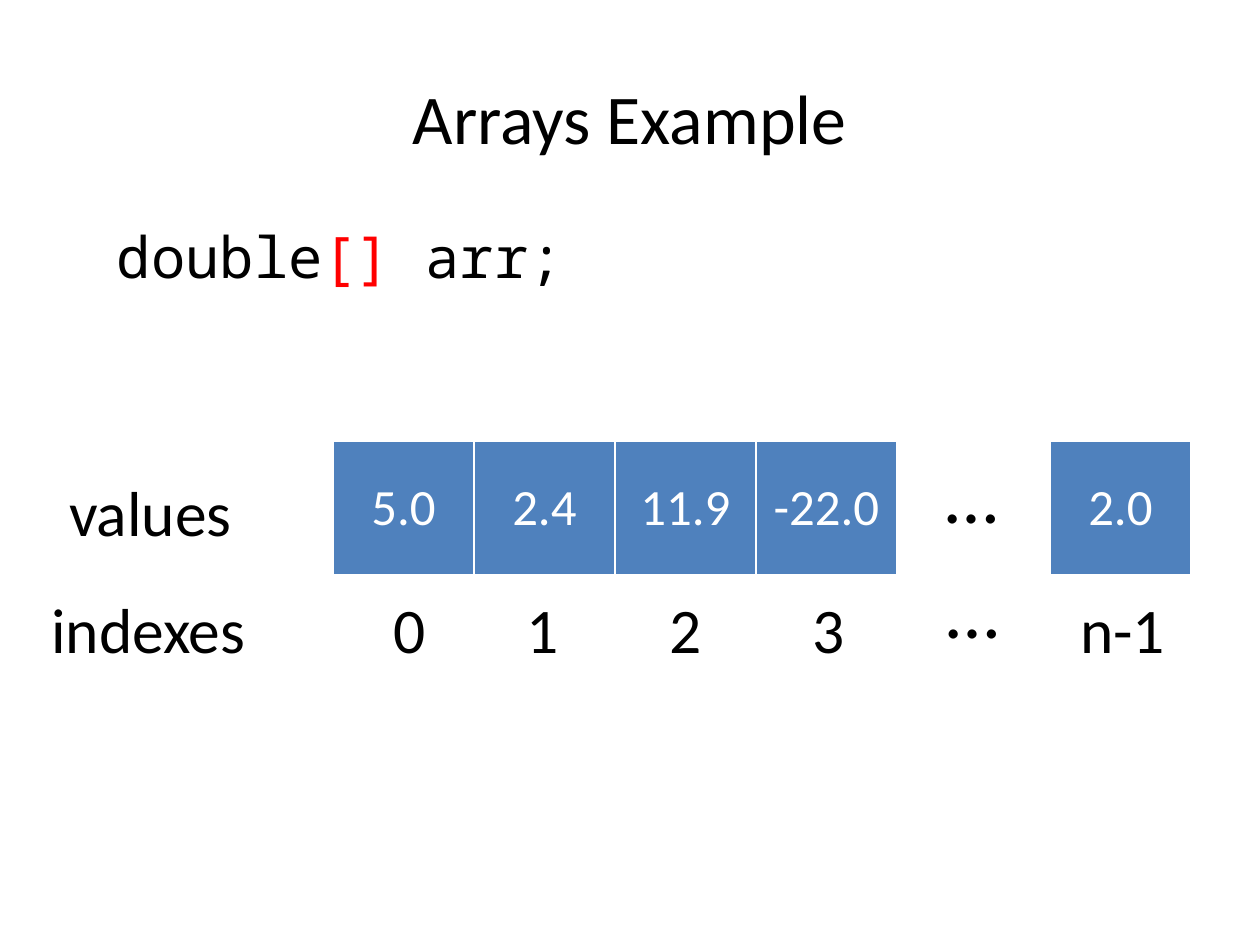
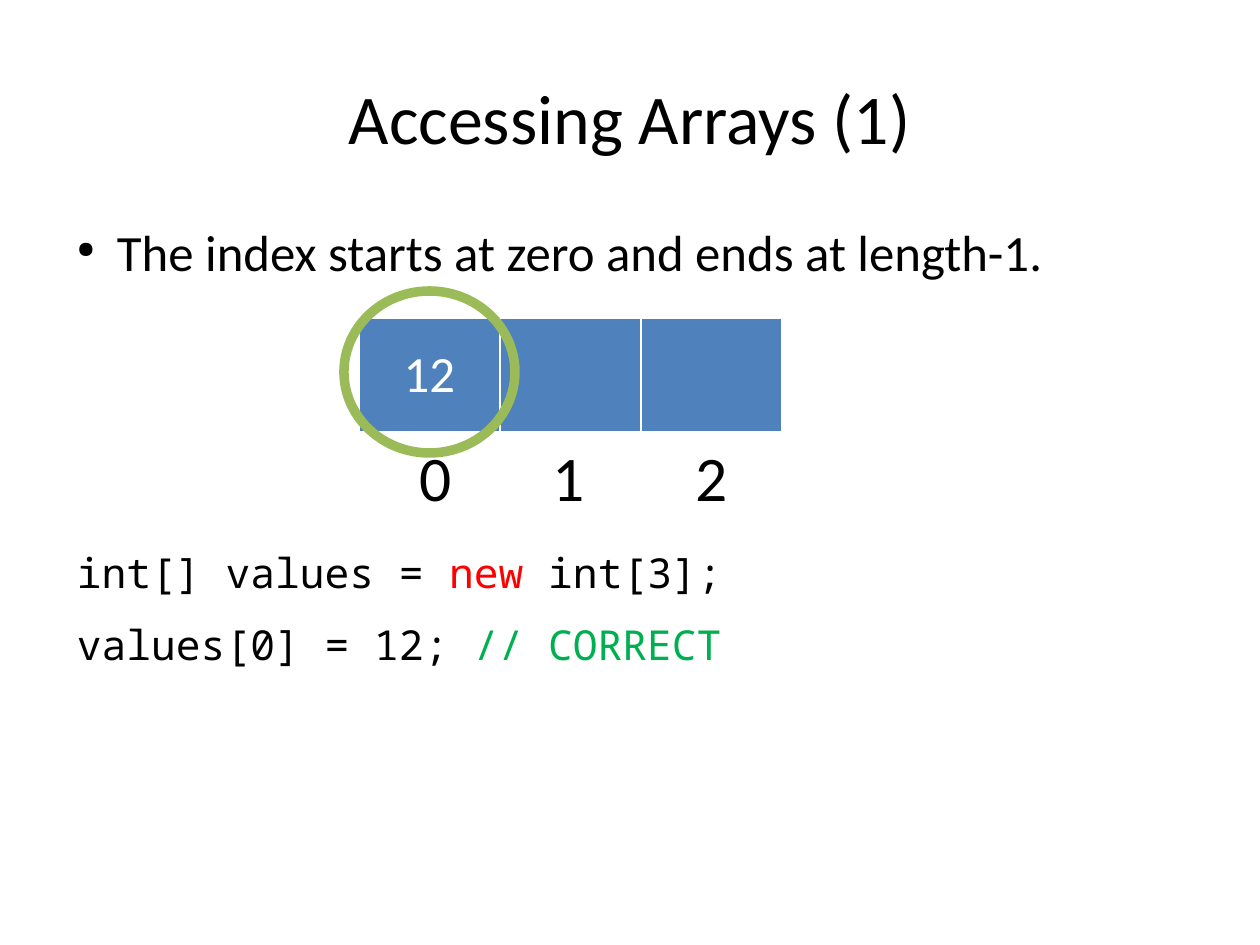
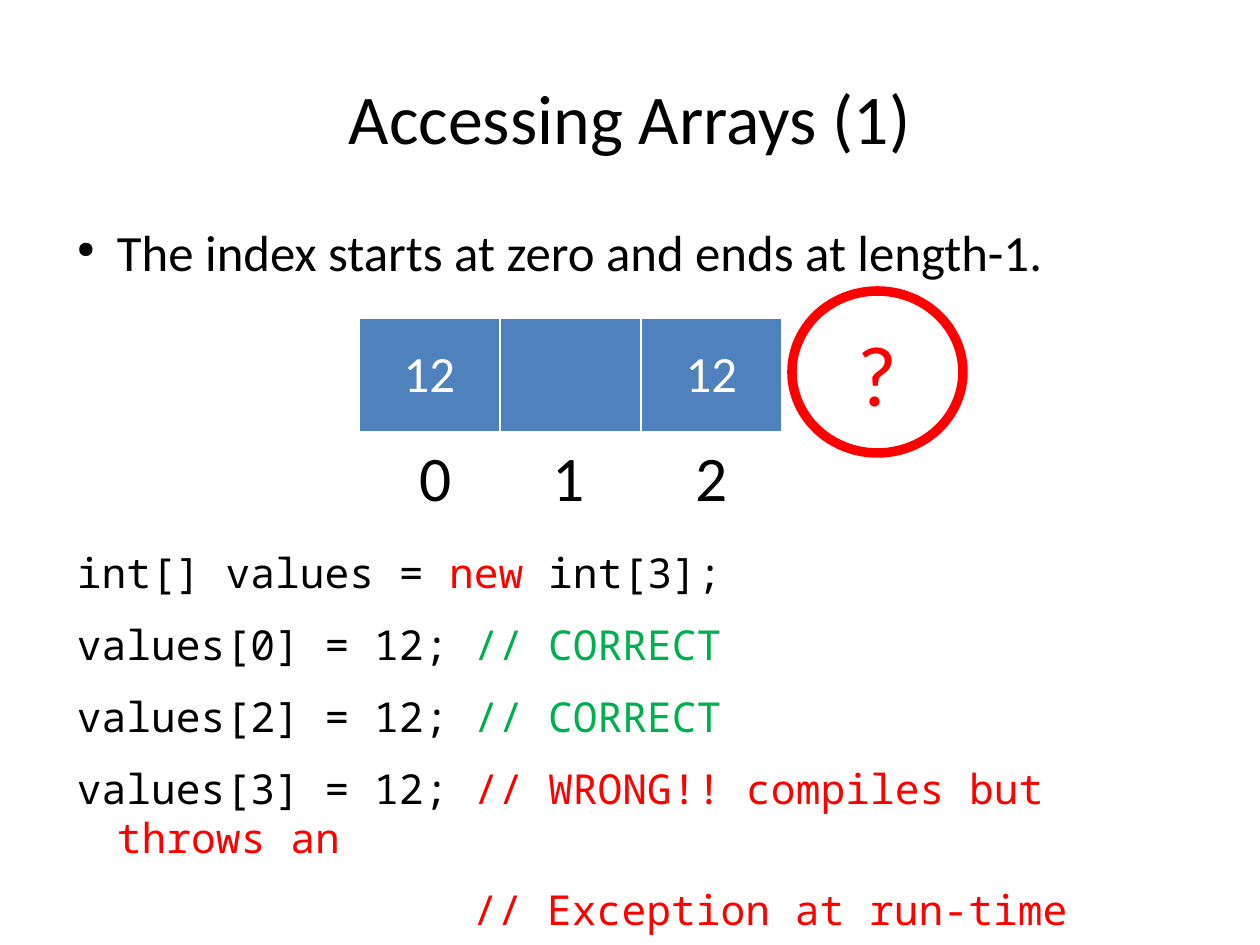
from lxml.etree import SubElement
from pptx import Presentation
from pptx.dml.color import RGBColor
from pptx.enum.shapes import MSO_SHAPE
from pptx.enum.text import MSO_ANCHOR, MSO_AUTO_SIZE, PP_ALIGN
from pptx.oxml.ns import qn
from pptx.util import Pt

PIXEL = 8000
COLORS = {"black": "000000", "white": "FFFFFF", "blue": "4F81BD",
          "red": "FF0000", "green": "00B050", "olive": "9BBB59"}
SANS, MONO = "Calibri", "Noto Sans Mono"
CELL_WIDTH = 141
DIGIT_OFFSETS = (49, 182, 325, 468)
BODY_LEFT, BODY_TOP, BODY_WIDTH = 63, 221, 1134
HANGING, FIRST_LINE = 54, -40


def write(para, spans, size, face=SANS, align=None):
    """Fill a paragraph with (text, colour name) spans of one font."""
    para.font.size, para.font.name, para.font.bold = Pt(size), face, False
    para.alignment = align
    for text, color in spans:
        span = para.add_run()
        span.text = text
        span.font.color.rgb = RGBColor.from_string(COLORS[color])


def add_frame(page, left, top, width, height, inset=True):
    """Add a text box; without inset it wraps and has no margins."""
    box = page.shapes.add_textbox(*(n * PIXEL for n in (left, top, width, height)))
    frame = box.text_frame
    frame.word_wrap = not inset
    if inset:
        frame.auto_size = MSO_AUTO_SIZE.SHAPE_TO_FIT_TEXT
    else:
        frame.margin_left = frame.margin_top = frame.margin_right = frame.margin_bottom = 0
    return frame


deck = Presentation()
deck.slide_width, deck.slide_height = 1260 * PIXEL, 945 * PIXEL

# Titles
pages = []
for heading in ("Arrays Example", "Accessing Arrays (1)", "Accessing Arrays (1)"):
    page = deck.slides.add_slide(deck.slide_layouts[5])
    title = page.shapes.title
    title.left, title.top = BODY_LEFT * PIXEL, 38 * PIXEL
    title.width, title.height = BODY_WIDTH * PIXEL, 158 * PIXEL
    frame = title.text_frame
    frame.margin_left = frame.margin_top = frame.margin_right = frame.margin_bottom = 0
    frame.vertical_anchor = MSO_ANCHOR.MIDDLE
    write(frame.paragraphs[0], [(heading, "black")], 44, align=PP_ALIGN.CENTER)
    pages.append(page)
example, first_access, last_access = pages

# Declaration
frame = add_frame(example, BODY_LEFT + HANGING, BODY_TOP, BODY_WIDTH - HANGING, 70, inset=False)
write(frame.paragraphs[0], [("double", "black"), ("[] ", "red"), ("arr;", "black")], 36, MONO)

# Bullet and code
creation = [("int[] values = ", "black"), ("new ", "red"), ("int[3];", "black")]
set_first = [("values[0] = 12; ", "black"), ("// CORRECT", "green")]
set_last = [("values[2] = 12; ", "black"), ("// CORRECT", "green")]
set_beyond = [("values[3] = 12; ", "black"), ("// WRONG!! compiles but throws an", "red")]
remark = [("// Exception at run-time", "red")]
listings = [(first_access, [creation, set_first]),
            (last_access, [creation, set_first, set_last, set_beyond, remark])]
for page, lines in listings:
    bullet = add_frame(page, BODY_LEFT, BODY_TOP, BODY_WIDTH, 62, inset=False).paragraphs[0]
    write(bullet, [("The index starts at zero and ends at length-1.", "black")], 32)
    properties = bullet._p.get_or_add_pPr()
    properties.set("marL", str(HANGING * PIXEL))
    properties.set("indent", str(FIRST_LINE * PIXEL))
    size_mark = SubElement(properties, qn("a:buSzPct"), val="45000")
    mark = SubElement(properties, qn("a:buChar"), char="●")
    properties.find(qn("a:defRPr")).addprevious(size_mark)
    properties.find(qn("a:defRPr")).addprevious(mark)

    frame = add_frame(page, BODY_LEFT, 547, BODY_WIDTH, 72 * len(lines), inset=False)
    for number, spans in enumerate(lines):
        para = frame.add_paragraph() if number else frame.paragraphs[0]
        write(para, spans, 26, MONO)
        para.space_after = Pt(14.2)
        margin, indent = (410, 0) if spans is remark else (HANGING, FIRST_LINE)
        para._p.get_or_add_pPr().set("marL", str(margin * PIXEL))
        para._p.get_or_add_pPr().set("indent", str(indent * PIXEL))

# Arrays with their indexes
arrays = [
    (example, 333, 441, 134, ("5.0", "2.4", "11.9", "-22.0"), 584),
    (example, 1050, 441, 134, ("2.0",), None),
    (first_access, 359, 318, 114, ("12", "", ""), 432),
    (last_access, 359, 318, 114, ("12", "", "12"), 432),
]
for page, left, top, height, values, index_top in arrays:
    width = CELL_WIDTH * len(values)
    table = page.shapes.add_table(1, len(values), left * PIXEL, top * PIXEL,
                                  width * PIXEL, height * PIXEL).table
    table.horz_banding = False
    for column, value in enumerate(values):
        cell = table.cell(0, column)
        cell.fill.solid()
        cell.fill.fore_color.rgb = RGBColor.from_string(COLORS["blue"])
        cell.vertical_anchor = MSO_ANCHOR.MIDDLE
        if value:
            write(cell.text_frame.paragraphs[0], [(value, "white")], 32, align=PP_ALIGN.CENTER)
        if index_top:
            digit = add_frame(page, left + DIGIT_OFFSETS[column], index_top, 56, 88)
            write(digit.paragraphs[0], [(str(column), "black")], 40)

# Row labels, last index and ellipses
labels = [
    ("indexes", 40, 584, 219, 88, 40),
    ("values", 58, 467, 187, 88, 40),
    ("n-1", 1069, 584, 109, 88, 40),
    ("…", 934, 442, 77, 104, 48),
    ("…", 935, 557, 77, 104, 48),
]
for text, left, top, width, height, size in labels:
    write(add_frame(example, left, top, width, height).paragraphs[0], [(text, "black")], size)

# Rings around the accessed element
for page, left, color, text in ((first_access, 344, "olive", ""), (last_access, 792, "red", "?")):
    ring = page.shapes.add_shape(MSO_SHAPE.OVAL, left * PIXEL, 291 * PIXEL,
                                 171 * PIXEL, 162 * PIXEL)
    ring.shadow.inherit = False
    ring.fill.background()
    ring.line.color.rgb = RGBColor.from_string(COLORS[color])
    ring.line.width = Pt(6)
    if text:
        ring.text_frame.vertical_anchor = MSO_ANCHOR.MIDDLE
        write(ring.text_frame.paragraphs[0], [(text, color)], 54, align=PP_ALIGN.CENTER)

deck.save("out.pptx")
